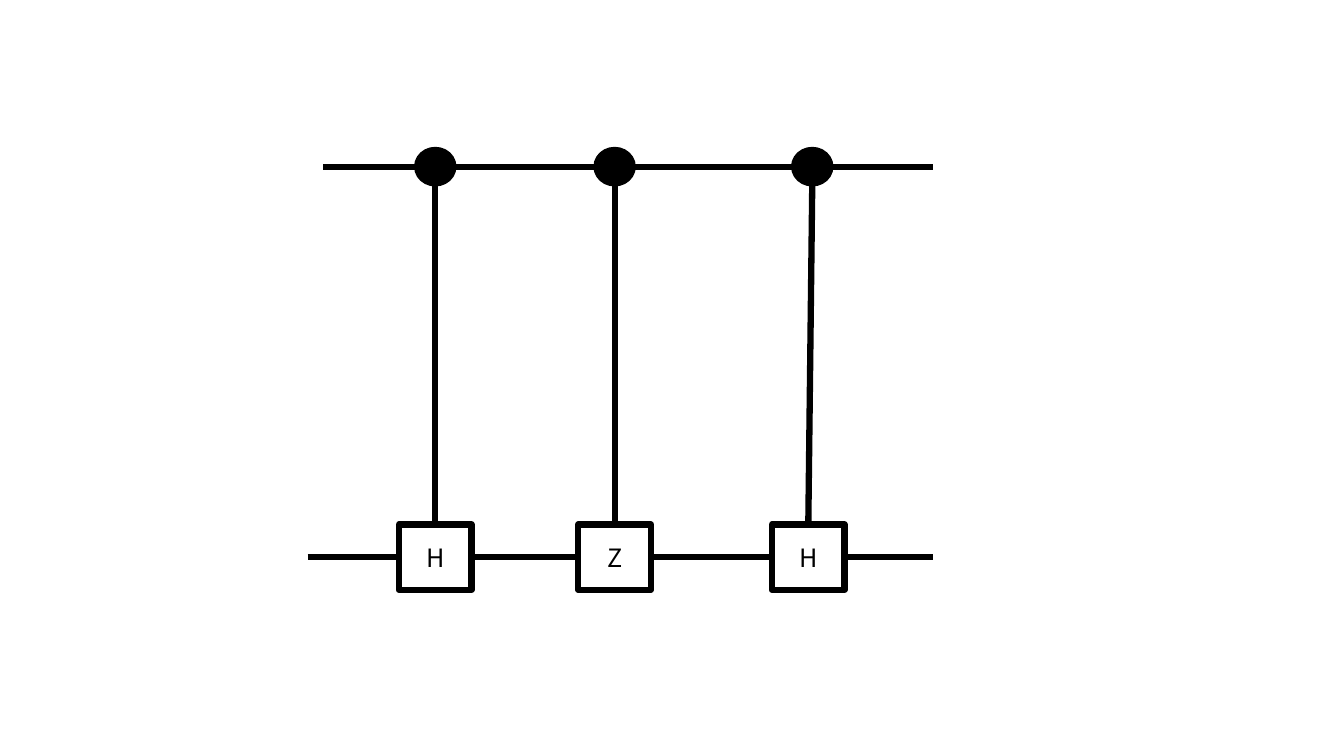
import pptx
import pptx.util
import pptx.dml.color
import pptx.enum.shapes
import pptx.enum.text
import pptx.oxml.ns
import lxml.etree

Cm, Pt = pptx.util.Cm, pptx.util.Pt
SHAPES = pptx.enum.shapes.MSO_SHAPE

# Content: gate label, gate centre, control dot centre (cm)
GATES = [("H", 10.97, 10.97), ("Z", 15.49, 15.49), ("H", 20.37, 20.47)]
CONTROL_Y, TARGET_Y = 4.2, 14.04
WIRES = [(8.15, CONTROL_Y), (7.75, TARGET_Y)]
WIRE_END = 23.52
GATE_SIZE = (1.83, 1.65)
DOT_SIZE = (0.91, 0.84)
COLOURS = {"ink": "000000", "paper": "FFFFFF"}
FONT = "Noto Sans CJK SC"


def colour(name):
    return pptx.dml.color.RGBColor.from_string(COLOURS[name])


def draw_outline(item):
    item.line.color.rgb = colour("ink")
    item.line.width = Pt(4.5)


def add_line(x1, y1, x2, y2):
    connector = slide.shapes.add_connector(
        pptx.enum.shapes.MSO_CONNECTOR.STRAIGHT, Cm(x1), Cm(y1), Cm(x2), Cm(y2))
    draw_outline(connector)
    lxml.etree.SubElement(connector._element.spPr, pptx.oxml.ns.qn("a:effectLst"))


def add_centred(kind, x, y, size, fill):
    width, height = size
    shape = slide.shapes.add_shape(
        kind, Cm(x - width / 2), Cm(y - height / 2), Cm(width), Cm(height))
    shape.shadow.inherit = False
    shape.fill.solid()
    shape.fill.fore_color.rgb = colour(fill)
    draw_outline(shape)
    return shape


def add_label(shape, label):
    frame = shape.text_frame
    frame.vertical_anchor = pptx.enum.text.MSO_ANCHOR.MIDDLE
    paragraph = frame.paragraphs[0]
    paragraph.alignment = pptx.enum.text.PP_ALIGN.CENTER
    run = paragraph.add_run()
    run.text = label
    run.font.name = FONT
    run.font.size = Pt(18)
    run.font.color.rgb = colour("ink")


presentation = pptx.Presentation()
presentation.slide_width, presentation.slide_height = Cm(33.87), Cm(19.05)
slide = presentation.slides.add_slide(presentation.slide_layouts[6])

# Qubit wires
for start, y in WIRES:
    add_line(start, y, WIRE_END, y)

# Gates on the target wire
for label, gate_x, dot_x in GATES:
    add_label(add_centred(SHAPES.RECTANGLE, gate_x, TARGET_Y, GATE_SIZE, "paper"), label)

# Links from control dots down to the gates
for label, gate_x, dot_x in GATES:
    add_line(dot_x, CONTROL_Y + DOT_SIZE[1] / 2, gate_x, TARGET_Y - GATE_SIZE[1] / 2)

# Control dots
for label, gate_x, dot_x in GATES:
    add_centred(SHAPES.OVAL, dot_x, CONTROL_Y, DOT_SIZE, "ink")

presentation.save("out.pptx")
